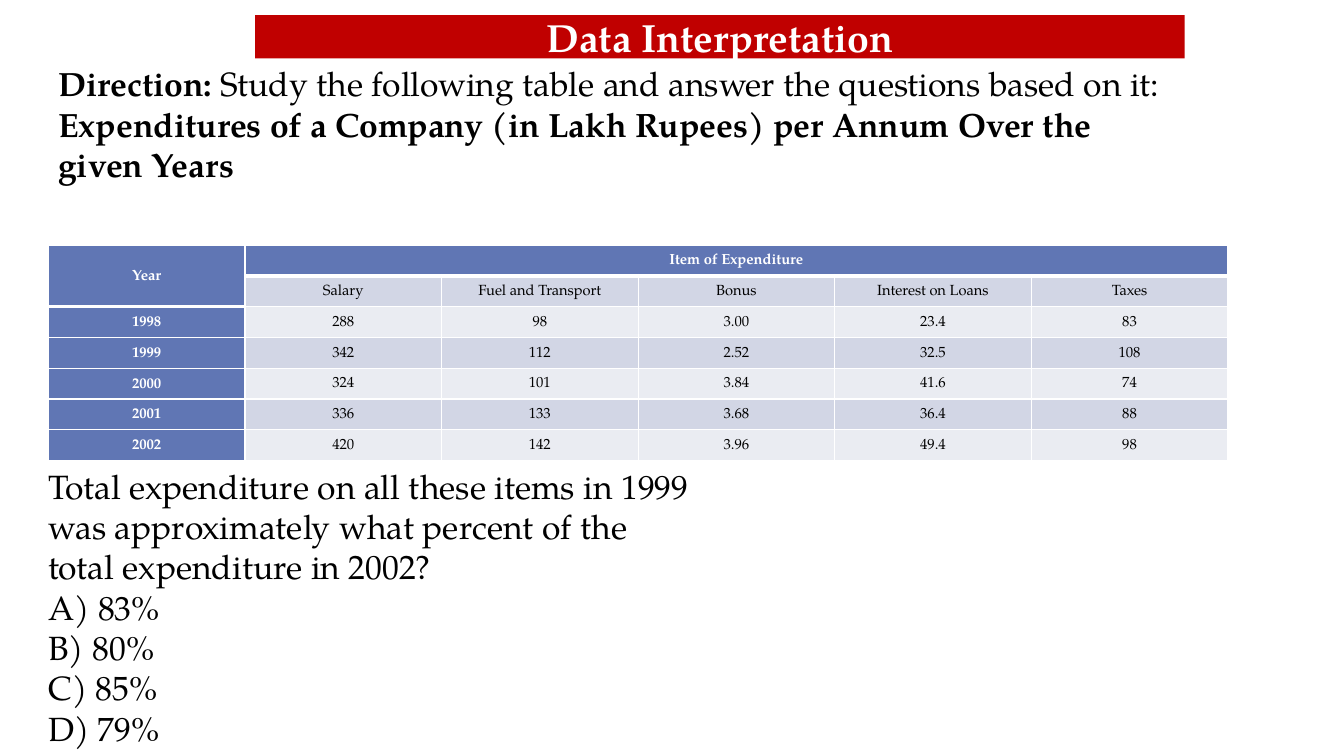
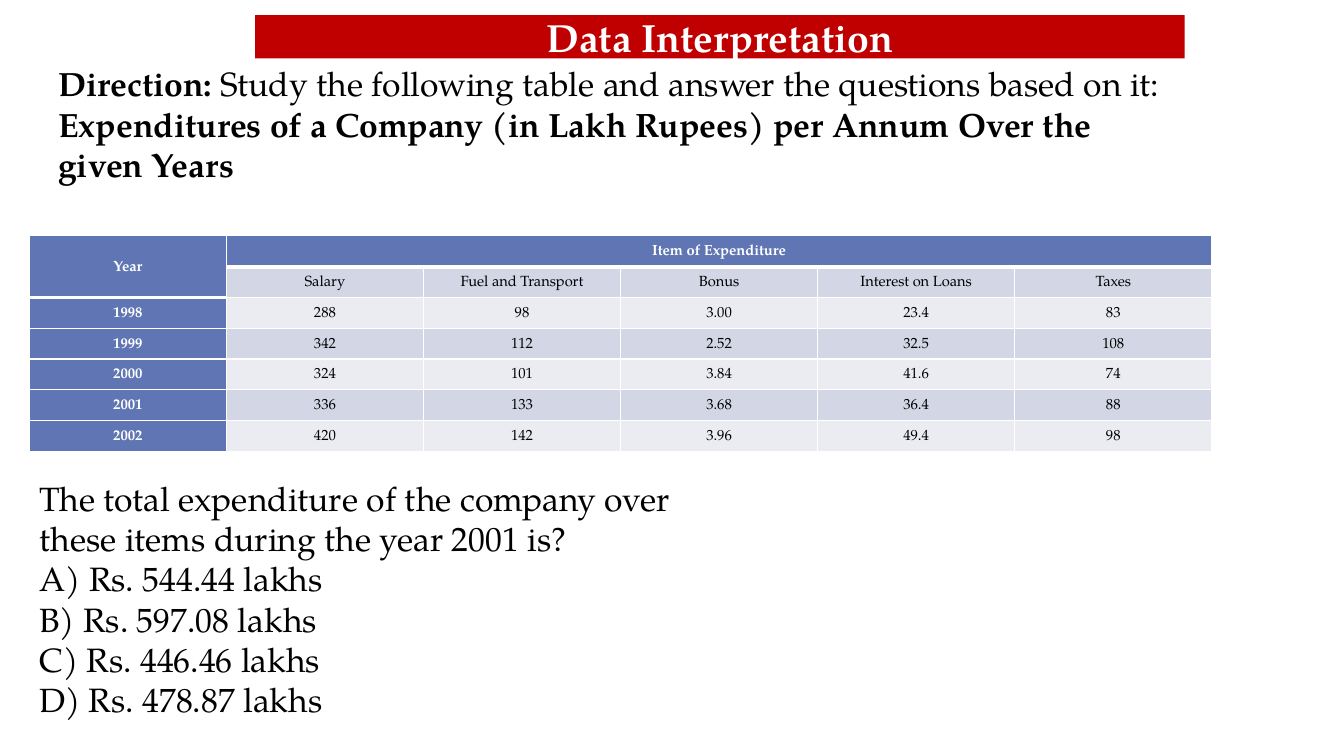
from lxml.etree import SubElement
from pptx import Presentation
from pptx.dml.color import RGBColor
from pptx.enum.text import MSO_ANCHOR, MSO_AUTO_SIZE, PP_ALIGN
from pptx.oxml.ns import qn
from pptx.util import Inches, Pt

RED = RGBColor(0xC0, 0x00, 0x00)
BLUE = RGBColor(0x60, 0x76, 0xB4)
DARK_BAND = RGBColor(0xD2, 0xD6, 0xE5)
LIGHT_BAND = RGBColor(0xEA, 0xEC, 0xF2)
WHITE = RGBColor(0xFF, 0xFF, 0xFF)
BLACK = RGBColor(0x00, 0x00, 0x00)

TITLE = "Data Interpretation"
DIRECTION = [
    [("Direction:", True),
     (" Study the following table and answer the questions based on it:", False)],
    [("Expenditures of a Company (in Lakh Rupees) per Annum Over the given Years", True)],
]
EXPENDITURE = [
    ["Year", "Item of Expenditure", "", "", "", ""],
    ["", "Salary", "Fuel and Transport", "Bonus", "Interest on Loans", "Taxes"],
    ["1998", "288", "98", "3.00", "23.4", "83"],
    ["1999", "342", "112", "2.52", "32.5", "108"],
    ["2000", "324", "101", "3.84", "41.6", "74"],
    ["2001", "336", "133", "3.68", "36.4", "88"],
    ["2002", "420", "142", "3.96", "49.4", "98"],
]

# Areas are left, top, width, height in percent of the slide.
TITLE_AREA = (18.98, 2, 69.17, 5.73)
DIRECTION_AREA = (3.6, 7.73, 84.62, 22.93)
QUESTIONS = [
    {
        "table_area": (3.6, 32.4, 87.77, 28.53),
        "question_area": (2.85, 60.93, 50.03, 39.07),
        "question": "Total expenditure on all these items in 1999 was approximately "
                    "what percent of the total expenditure in 2002?",
        "answers": ["83%", "80%", "85%", "79%"],
    },
    {
        "table_area": (2.18, 31.2, 88, 28.53),
        "question_area": (2.18, 62.53, 50.03, 33.6),
        "question": "The total expenditure of the company over these items "
                    "during the year 2001 is?",
        "answers": ["Rs. 544.44 lakhs", "Rs. 597.08 lakhs",
                    "Rs. 446.46 lakhs", "Rs. 478.87 lakhs"],
    },
]


class QuizDeck:
    font = "TeX Gyre Pagella"
    title_size, body_size, cell_size = 28, 24, 10.5
    thin_line, thick_line = 1, 3

    def __init__(self):
        self.deck = Presentation()
        self.deck.slide_width = Inches(13.33)
        self.deck.slide_height = Inches(7.5)
        self.page = None

    def add_page(self):
        self.page = self.deck.slides.add_slide(self.deck.slide_layouts[5])

    def place(self, area):
        """Turn an area in percent into slide lengths."""
        sides = (self.deck.slide_width, self.deck.slide_height) * 2
        return [round(side * share / 100) for side, share in zip(sides, area)]

    def style(self, span, size, color, bold=False):
        span.font.name = self.font
        span.font.size = Pt(size)
        span.font.color.rgb = color
        span.font.bold = bold

    def title(self, text, area):
        box = self.page.shapes.title
        box.left, box.top, box.width, box.height = self.place(area)
        box.fill.solid()
        box.fill.fore_color.rgb = RED
        frame = box.text_frame
        frame.text = text
        frame.word_wrap = True
        frame.auto_size = MSO_AUTO_SIZE.NONE
        frame.vertical_anchor = MSO_ANCHOR.MIDDLE
        para = frame.paragraphs[0]
        para.alignment = PP_ALIGN.CENTER
        self.style(para.runs[0], self.title_size, WHITE, True)

    def text(self, paragraphs, area):
        """Add a text box; each paragraph is a list of (text, bold) spans."""
        frame = self.page.shapes.add_textbox(*self.place(area)).text_frame
        frame.word_wrap = True
        frame.auto_size = MSO_AUTO_SIZE.SHAPE_TO_FIT_TEXT
        for index, spans in enumerate(paragraphs):
            para = frame.add_paragraph() if index else frame.paragraphs[0]
            for words, bold in spans:
                span = para.add_run()
                span.text = words
                self.style(span, self.body_size, BLACK, bold)

    def question(self, question, answers, area):
        options = [f"{letter}) {answer}" for letter, answer in zip("ABCD", answers)]
        self.text([[(line, False)] for line in [question, *options]], area)

    def table(self, rows, area):
        left, top, width, height = self.place(area)
        table = self.page.shapes.add_table(
            len(rows), len(rows[0]), left, top, width, height).table
        table.first_row = table.horz_banding = False
        table.cell(0, 0).merge(table.cell(1, 0))
        table.cell(0, 1).merge(table.cell(0, len(rows[0]) - 1))
        for row, values in enumerate(rows):
            for column, value in enumerate(values):
                self.cell(table.cell(row, column), value, row, column)

    def cell(self, cell, value, row, column):
        header_rows = 1 if column else 2
        heading = row == 0 or column == 0
        self.borders(cell,
                     self.thick_line if row == header_rows else self.thin_line,
                     self.thick_line if row < header_rows else self.thin_line)
        cell.fill.solid()
        band = DARK_BAND if row % 2 else LIGHT_BAND
        cell.fill.fore_color.rgb = BLUE if heading else band
        cell.margin_left = cell.margin_right = Inches(0.05)
        cell.margin_top = cell.margin_bottom = Inches(0.05)
        cell.vertical_anchor = MSO_ANCHOR.MIDDLE
        if value:
            cell.text_frame.text = value
            para = cell.text_frame.paragraphs[0]
            para.alignment = PP_ALIGN.CENTER
            para.line_spacing = 1.15
            self.style(para.runs[0], self.cell_size, WHITE if heading else BLACK, heading)

    def borders(self, cell, top, bottom):
        """Draw white cell borders; call it before the cell gets its fill."""
        properties = cell._tc.get_or_add_tcPr()
        widths = {"L": self.thin_line, "R": self.thin_line, "T": top, "B": bottom}
        for side, width in widths.items():
            line = SubElement(properties, qn(f"a:ln{side}"), w=str(Pt(width)))
            fill = SubElement(line, qn("a:solidFill"))
            SubElement(fill, qn("a:srgbClr"), val=str(WHITE))


def main():
    quiz = QuizDeck()
    for item in QUESTIONS:
        quiz.add_page()
        quiz.title(TITLE, TITLE_AREA)
        quiz.text(DIRECTION, DIRECTION_AREA)
        quiz.table(EXPENDITURE, item["table_area"])
        quiz.question(item["question"], item["answers"], item["question_area"])
    quiz.deck.save("out.pptx")


if __name__ == "__main__":
    main()
